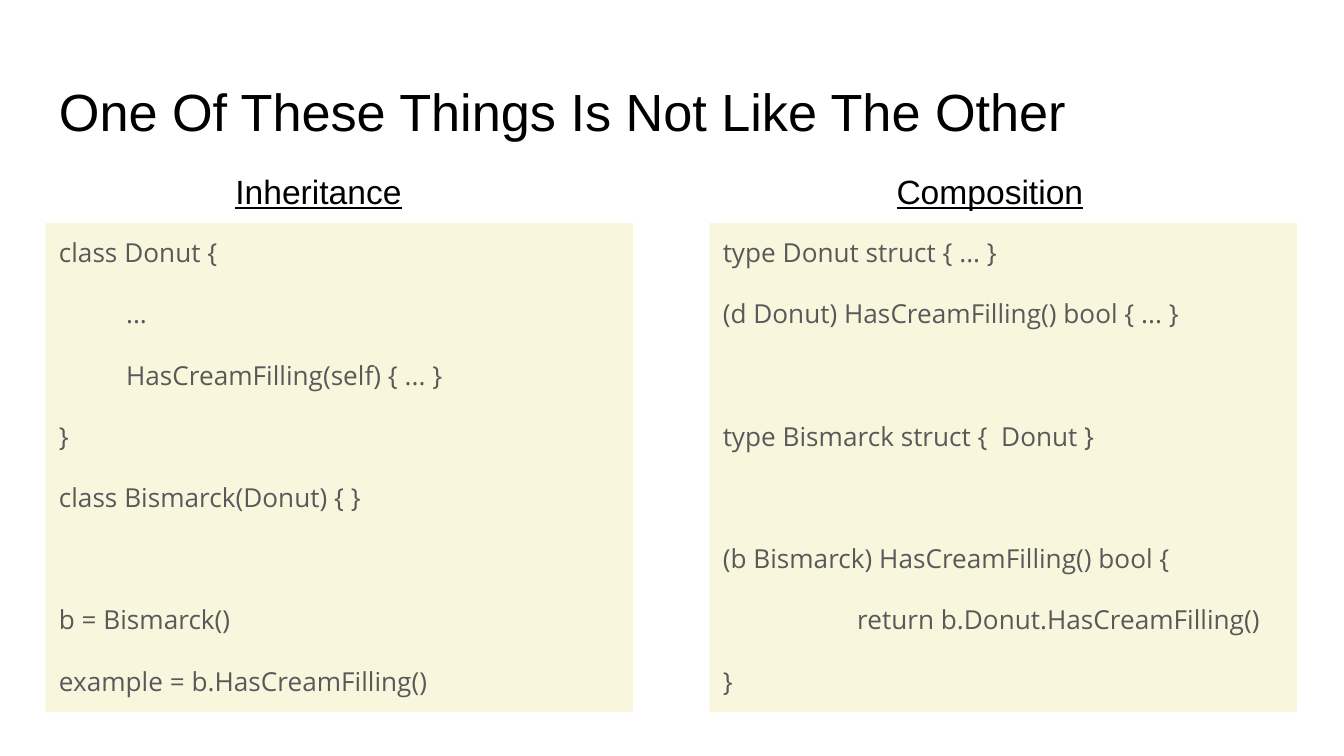
from pptx import Presentation
from pptx.dml.color import RGBColor
from pptx.enum.shapes import MSO_SHAPE
from pptx.enum.text import MSO_ANCHOR, PP_ALIGN
from pptx.util import Inches, Pt

COLORS = {"black": "000000", "code": "595959", "cream": "F8F7DE"}
CODE_SIZE = 14
GAP = 16
BLANK_LINE = 32.75

deck = Presentation()
deck.slide_width = Inches(10)
deck.slide_height = deck.slide_width * 9 // 16
page = deck.slides.add_slide(deck.slide_layouts[6])


def prepare_frame(box):
    frame = box.text_frame
    frame.word_wrap = True
    frame.vertical_anchor = MSO_ANCHOR.TOP
    frame.margin_left = frame.margin_right = Inches(0.1)
    frame.margin_top = frame.margin_bottom = Inches(0.1)
    return frame


def add_span(para, text, size, font, color):
    span = para.add_run()
    span.text = text
    span.font.size = Pt(size)
    span.font.name = font
    span.font.color.rgb = RGBColor.from_string(COLORS[color])
    return span


title = page.shapes.add_textbox(Inches(0.34), Inches(0.49), Inches(9.32), Inches(0.63))
title_para = prepare_frame(title).paragraphs[0]
add_span(title_para, "One Of These Things Is Not Like The Other", 28, "Arial", "black")

columns = [
    ("Inheritance", 0, 4.74, 0.34, [
        ("class Donut {", 0, 0),
        ("...", 0.5, 0),
        ("HasCreamFilling(self) { ... }", 0.5, 0),
        ("}", 0, 0),
        ("class Bismarck(Donut) { }", 0, 1),
        ("b = Bismarck()", 0, 0),
        ("example = b.HasCreamFilling()", 0, 0),
    ]),
    ("Composition", 4.74, 5.25, 5.28, [
        ("type Donut struct { ... }", 0, 0),
        ("(d Donut) HasCreamFilling() bool { ... }", 0, 1),
        ("type Bismarck struct {  Donut }", 0, 1),
        ("(b Bismarck) HasCreamFilling() bool {", 0, 0),
        ("return b.Donut.HasCreamFilling()", 1, 0),
        ("}", 0, 0),
    ]),
]

for name, heading_left, heading_width, code_left, lines in columns:
    code_box = page.shapes.add_shape(
        MSO_SHAPE.RECTANGLE, Inches(code_left), Inches(1.66), Inches(4.37), Inches(3.64))
    code_box.shadow.inherit = False
    code_box.fill.solid()
    code_box.fill.fore_color.rgb = RGBColor.from_string(COLORS["cream"])
    code_box.line.fill.background()
    frame = prepare_frame(code_box)
    for index, (text, indent, blank_lines) in enumerate(lines):
        para = frame.add_paragraph() if index else frame.paragraphs[0]
        para.alignment = PP_ALIGN.LEFT
        para.line_spacing = 1.0
        para.space_after = Pt(GAP + blank_lines * BLANK_LINE)
        para._p.get_or_add_pPr().set("indent", str(Inches(indent)))
        add_span(para, text, CODE_SIZE, "Open Sans", "code")

    heading = page.shapes.add_textbox(
        Inches(heading_left), Inches(1.17), Inches(heading_width), Inches(0.57))
    heading_para = prepare_frame(heading).paragraphs[0]
    heading_para.alignment = PP_ALIGN.CENTER
    add_span(heading_para, name, 18, "Arial", "black").font.underline = True

deck.save("out.pptx")
